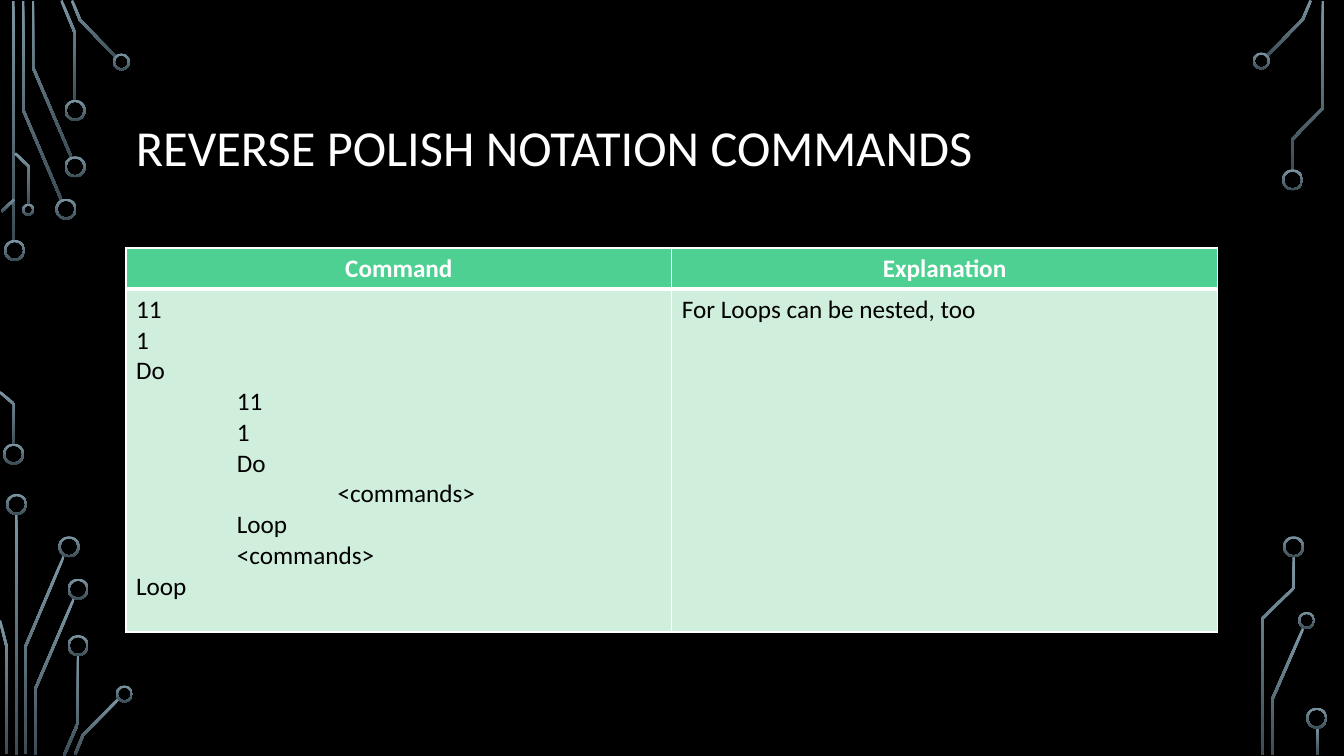
from lxml.etree import SubElement
from pptx import Presentation
from pptx.dml.color import RGBColor
from pptx.enum.shapes import MSO_SHAPE as Preset
from pptx.enum.text import MSO_ANCHOR as Anchor, PP_ALIGN as Align
from pptx.oxml.ns import qn
from pptx.util import Emu, Pt

PX = 4572
WIRE_WIDTH = 5
RING_STROKE = 4
INDENT = 200

BLACK, WHITE = "000000", "FFFFFF"
HEADER_GREEN, BODY_GREEN = "4FD093", "D0EEDC"
CIRCUIT_SHADES = ("7C96A3", "3B4C54")

TITLE_FONT = {"name": "Calibri", "size": Pt(36), "bold": False}
HEADER_FONT = {"name": "Calibri", "size": Pt(18), "bold": True}
BODY_FONT = {"name": "Calibri", "size": Pt(18), "bold": False}

STRAIGHT_WIRES = [(24, 2, 478), (30, 1020, 478), (2612, 1442, 56)]
BENT_WIRES = [
    [(122, 397), (46, 218), (46, 2)],
    [(142, 313), (65, 133), (65, 2)],
    [(149, 200), (149, 66), (122, 1)],
    [(231, 114), (159, 40), (143, 1)],
    [(3, 420), (28, 396)],
    [(28, 882), (28, 802), (0, 778)],
    [(58, 406), (58, 331), (30, 304)],
    [(51, 1496), (51, 1282), (127, 1103)],
    [(13, 1496), (13, 1282), (0, 1231)],
    [(71, 1498), (71, 1365), (147, 1187)],
    [(127, 1499), (155, 1434), (155, 1300)],
    [(149, 1497), (165, 1458), (236, 1386)],
    [(2514, 111), (2585, 39), (2601, 1)],
    [(2525, 1498), (2525, 1387), (2586, 1247)],
    [(2564, 338), (2564, 277), (2625, 215), (2625, 2)],
    [(2505, 1498), (2505, 1227), (2567, 1167), (2567, 1104)],
]
RINGS = {
    42: [(8, 476), (6, 880), (110, 394), (128, 310), (128, 198), (12, 980),
         (116, 1064), (134, 1148), (134, 1260), (2544, 336), (2546, 1064),
         (2592, 1404)],
    34: [(224, 106), (230, 1360), (2486, 104), (2576, 1214)],
    24: [(44, 404)],
}
COMMANDS = [
    (0, "11"), (0, "1"), (0, "Do"),
    (1, "11"), (1, "1"), (1, "Do"),
    (2, "<commands>"),
    (1, "Loop"), (1, "<commands>"),
    (0, "Loop"),
]
EXPLANATION = [(0, "For Loops can be nested, too")]


def px(length):
    return Emu(round(length * PX))


def rgb(value):
    return RGBColor.from_string(value)


def style_font(font, values, colour):
    for name, value in values.items():
        setattr(font, name, value)
    font.color.rgb = rgb(colour)


def finish_circuit(part):
    part.shadow.inherit = False
    part.line.fill.background()
    part.fill.gradient()
    part.fill.gradient_angle = 270
    for stop, shade in zip(part.fill.gradient_stops, CIRCUIT_SHADES):
        stop.color.rgb = rgb(shade)


def add_straight_wire(slide, left, top, height):
    box = map(px, (left, top, WIRE_WIDTH, height))
    finish_circuit(slide.shapes.add_shape(Preset.RECTANGLE, *box))


def add_bent_wire(slide, route):
    points = [complex(*point) for point in route]
    normals = [1j * (b - a) / abs(b - a) for a, b in zip(points, points[1:])]
    pairs = zip(normals[:1] + normals, normals + normals[-1:])
    offsets = [WIRE_WIDTH * (m + n) / abs(m + n) ** 2 for m, n in pairs]
    one_side = [p + o for p, o in zip(points, offsets)]
    other_side = [p - o for p, o in zip(points, offsets)]
    outline = [(px(p.real), px(p.imag)) for p in one_side + other_side[::-1]]
    builder = slide.shapes.build_freeform(*outline[0])
    builder.add_line_segments(outline[1:], close=True)
    finish_circuit(builder.convert_to_shape())


def add_ring(slide, left, top, size):
    ring = slide.shapes.add_shape(Preset.DONUT, *map(px, (left, top, size, size)))
    ring.adjustments[0] = RING_STROKE / size
    finish_circuit(ring)


def add_title(slide, text):
    title = slide.shapes.add_textbox(*map(px, (250, 136, 2166, 324))).text_frame
    title.word_wrap = True
    title.vertical_anchor = Anchor.MIDDLE
    heading = title.paragraphs[0]
    heading.text = text
    heading.line_spacing = 0.9
    style_font(heading.font, TITLE_FONT, WHITE)


def add_borders(cell, widths):
    properties = cell._tc.get_or_add_tcPr()
    for side, width in widths.items():
        border = SubElement(properties, qn(f"a:ln{side}"), w=str(Pt(width)))
        paint = SubElement(border, qn("a:solidFill"))
        SubElement(paint, qn("a:srgbClr"), val=WHITE)


def fill_cell(cell, lines, fill, font, colour, align, borders):
    add_borders(cell, borders)
    cell.fill.solid()
    cell.fill.fore_color.rgb = rgb(fill)
    for number, (level, text) in enumerate(lines):
        frame = cell.text_frame
        line = frame.add_paragraph() if number else frame.paragraphs[0]
        line.text = text
        line.alignment = align
        if level:
            line._p.get_or_add_pPr().set("marL", str(px(level * INDENT)))
        style_font(line.font, font, colour)


def add_command_table(slide):
    box = map(px, (250, 492, 2166, 762))
    table = slide.shapes.add_table(2, 2, *box).table
    for row, height in zip(table.rows, (82, 680)):
        row.height = px(height)
    header_borders = {"L": 1, "R": 1, "T": 1, "B": 3}
    body_borders = {"L": 1, "R": 1, "T": 3, "B": 1}
    columns = [("Command", COMMANDS), ("Explanation", EXPLANATION)]
    for column, (heading, lines) in enumerate(columns):
        table.columns[column].width = px(1083)
        fill_cell(table.cell(0, column), [(0, heading)], HEADER_GREEN,
                  HEADER_FONT, WHITE, Align.CENTER, header_borders)
        fill_cell(table.cell(1, column), lines, BODY_GREEN,
                  BODY_FONT, BLACK, Align.LEFT, body_borders)


def main():
    deck = Presentation()
    deck.slide_width, deck.slide_height = px(2667), px(1500)
    slide = deck.slides.add_slide(deck.slide_layouts[6])
    slide.background.fill.solid()
    slide.background.fill.fore_color.rgb = rgb(BLACK)
    for wire in STRAIGHT_WIRES:
        add_straight_wire(slide, *wire)
    for route in BENT_WIRES:
        add_bent_wire(slide, route)
    for size, corners in RINGS.items():
        for corner in corners:
            add_ring(slide, *corner, size)
    add_title(slide, "REVERSE POLISH NOTATION COMMANDS")
    add_command_table(slide)
    deck.save("out.pptx")


if __name__ == "__main__":
    main()
